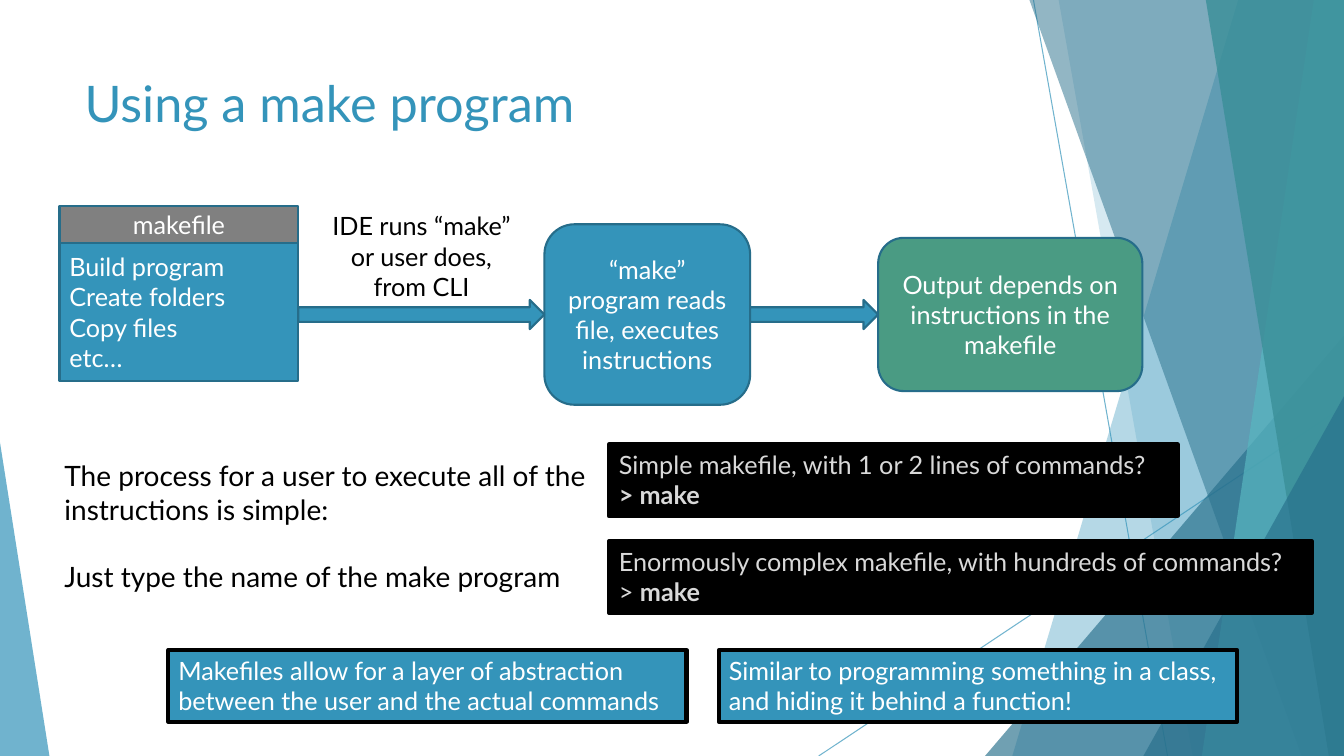
from collections import namedtuple

from lxml import etree
from pptx import Presentation
from pptx import util as u
from pptx.dml.color import RGBColor
from pptx.enum import shapes, text
from pptx.oxml.ns import qn

FONT = "Lato"
COLORS = {
    "blue": "3494BA", "deep": "276F8B", "edge": "266D8A",
    "aqua": "58B6C0", "teal": "3A8F98", "green": "4A9B83",
    "gray": "808080", "silver": "D9D9D9", "black": "000000", "white": "FFFFFF",
}
Box = namedtuple("Box", "left top width height")
KIND = shapes.MSO_SHAPE


def inches(box):
    return [u.Inches(value) for value in box]


def color(name):
    return RGBColor.from_string(COLORS[name])


def set_alpha(fill_parent, percent):
    for node in fill_parent.iter(qn("a:srgbClr")):
        etree.SubElement(node, qn("a:alpha")).set("val", str(percent * 1000))


def write(shape, paragraphs, size=18, ink="white", align="left", anchor="top", grow=False, gap=0):
    frame = shape.text_frame
    frame.word_wrap = True
    frame.vertical_anchor = {"top": text.MSO_ANCHOR.TOP, "middle": text.MSO_ANCHOR.MIDDLE}[anchor]
    frame.auto_size = text.MSO_AUTO_SIZE.SHAPE_TO_FIT_TEXT if grow else text.MSO_AUTO_SIZE.NONE
    for index, spans in enumerate(paragraphs):
        para = frame.paragraphs[0] if index == 0 else frame.add_paragraph()
        para.alignment = {"left": text.PP_ALIGN.LEFT, "center": text.PP_ALIGN.CENTER}[align]
        if index and gap:
            para.space_before = u.Pt(gap)
        for words, bold in spans:
            for number, line in enumerate(words.split("\n")):
                if number:
                    para.add_line_break()
                span = para.add_run()
                span.text = line
                span.font.name = FONT
                span.font.size = u.Pt(size)
                span.font.bold = bold
                span.font.color.rgb = color(ink)


def plain(*lines):
    return [[(line, False)] for line in lines]


def add_label(page, box, paragraphs, **form):
    write(page.shapes.add_textbox(*inches(box)), paragraphs, **form)


def paint(shape, fill, line=None, weight=1.5, alpha=None):
    shape.shadow.inherit = False
    shape.fill.solid()
    shape.fill.fore_color.rgb = color(fill)
    if alpha:
        set_alpha(shape._element.spPr, alpha)
    if line:
        shape.line.color.rgb = color(line)
        shape.line.width = u.Pt(weight)
    else:
        shape.line.fill.background()


def add_block(page, kind, box, fill, line="edge", weight=1.5, alpha=None, paragraphs=(), **form):
    block = page.shapes.add_shape(kind, *inches(box))
    paint(block, fill, line, weight, alpha)
    if paragraphs:
        write(block, paragraphs, **form)
    return block


def add_facets(page, box):
    right, bottom = box.left + box.width, box.top + box.height

    def ray(start, end):
        line = page.shapes.add_connector(shapes.MSO_CONNECTOR.STRAIGHT, *inches(start + end))
        line.line.color.rgb = color("blue")
        line.line.width = u.Pt(0.75)
        set_alpha(line._element.spPr, 70)
        etree.SubElement(line._element.spPr, qn("a:effectLst"))

    def band(top_x, bottom_x, fill, alpha):
        corners = [(right, box.top), (right, bottom), (bottom_x, bottom)]
        builder = page.shapes.build_freeform(u.Inches(top_x), u.Inches(box.top))
        builder.add_line_segments([inches(corner) for corner in corners], close=True)
        paint(builder.convert_to_shape(), fill, alpha=alpha)

    def wedge(left, top, width, fill, alpha, apex):
        area = Box(left, top, width, bottom - top)
        shape = add_block(page, KIND.ISOSCELES_TRIANGLE, area, fill, line=None, alpha=alpha)
        shape.adjustments[0] = apex

    ray((10.25, box.top), (11.58, bottom))
    ray((right, 4.03), (8.12, bottom))
    band(12.28, 10.04, "blue", 36)
    band(10.5, 11.83, "blue", 20)
    wedge(9.77, 3.33, right - 9.77, "deep", 66, 1)
    band(10.21, 12.91, "deep", 50)
    band(13.03, 11.92, "aqua", 70)
    band(11.96, 13.18, "teal", 80)
    wedge(11.34, 3.93, right - 11.34, "deep", 66, 1)
    wedge(box.left, 4.39, 0.49, "blue", 70, 0)


def add_flow(page, box):
    header = 0.37
    file_width, first_arrow, make_width, second_arrow = 2.37, 2.44, 2.04, 1.27
    make_left = box.left + file_width + first_arrow
    output_left = make_left + make_width + second_arrow
    middle = box.top + 1.08

    def centered(left, width, height):
        return Box(left, middle - height / 2, width, height)

    add_block(page, KIND.ROUNDED_RECTANGLE, centered(make_left, make_width, 1.79), "blue",
              paragraphs=plain("“make” program reads file, executes instructions"),
              align="center", anchor="middle")
    add_block(page, KIND.RECTANGLE, Box(box.left, box.top + header, file_width, 1.37), "blue",
              paragraphs=plain("Build program\nCreate folders\nCopy files\netc…"), anchor="middle")
    add_block(page, KIND.RECTANGLE, Box(box.left, box.top, file_width, header), "gray",
              paragraphs=plain("makefile"), align="center", anchor="middle")
    for left, width in ((box.left + file_width, first_arrow), (make_left + make_width, second_arrow)):
        add_block(page, KIND.RIGHT_ARROW, centered(left, width, 0.29), "blue")
    add_label(page, Box(box.left + file_width + 0.16, box.top, 2.12, 1.01),
              plain("IDE runs “make” or user does, from CLI"),
              ink="black", align="center", grow=True)
    add_block(page, KIND.ROUNDED_RECTANGLE, centered(output_left, 2.62, 1.52), "green",
              paragraphs=plain("Output depends on instructions in the makefile"),
              align="center", anchor="middle")


def add_usage(page, box):
    add_label(page, Box(box.left, box.top + 0.09, 5.51, 1.45),
              plain("The process for a user to execute all of the instructions is simple:",
                    "Just type the name of the make program"),
              size=20, ink="black", grow=True, gap=24)
    commands = [
        (5.64, "Simple makefile, with 1 or 2 lines of commands?", [("> make", True)]),
        (6.97, "Enormously complex makefile, with hundreds of commands?",
         [("> ", False), ("make", True)]),
    ]
    for row, (width, question, prompt) in enumerate(commands):
        add_block(page, KIND.RECTANGLE, Box(box.left + 5.5, box.top + row * 0.96, width, 0.71),
                  "black", line="black", weight=3, paragraphs=plain(question) + [prompt],
                  ink="silver", grow=True)


def add_takeaways(page, box):
    notes = [
        "Makefiles allow for a layer of abstraction between the user and the actual commands",
        "Similar to programming something in a class, and hiding it behind a function!",
    ]
    width = 5.14
    for column, note in enumerate(notes):
        left = box.left + column * (box.width - width)
        add_block(page, KIND.RECTANGLE, Box(left, box.top, width, box.height), "blue",
                  line="black", weight=3, paragraphs=plain(note), grow=True)


def main():
    deck = Presentation()
    deck.slide_width, deck.slide_height = u.Inches(13.33), u.Inches(7.5)
    page = deck.slides.add_slide(deck.slide_layouts[6])
    add_facets(page, Box(0, 0, 13.33, 7.5))
    add_label(page, Box(0.74, 0.67, 9.4, 1.44), plain("Using a make program"), size=36, ink="blue")
    add_flow(page, Box(0.59, 2.04, 10.74, 1.97))
    add_usage(page, Box(0.54, 4.41, 12.47, 1.67))
    add_takeaways(page, Box(1.67, 6.45, 10.6, 0.71))
    deck.save("out.pptx")


if __name__ == "__main__":
    main()
